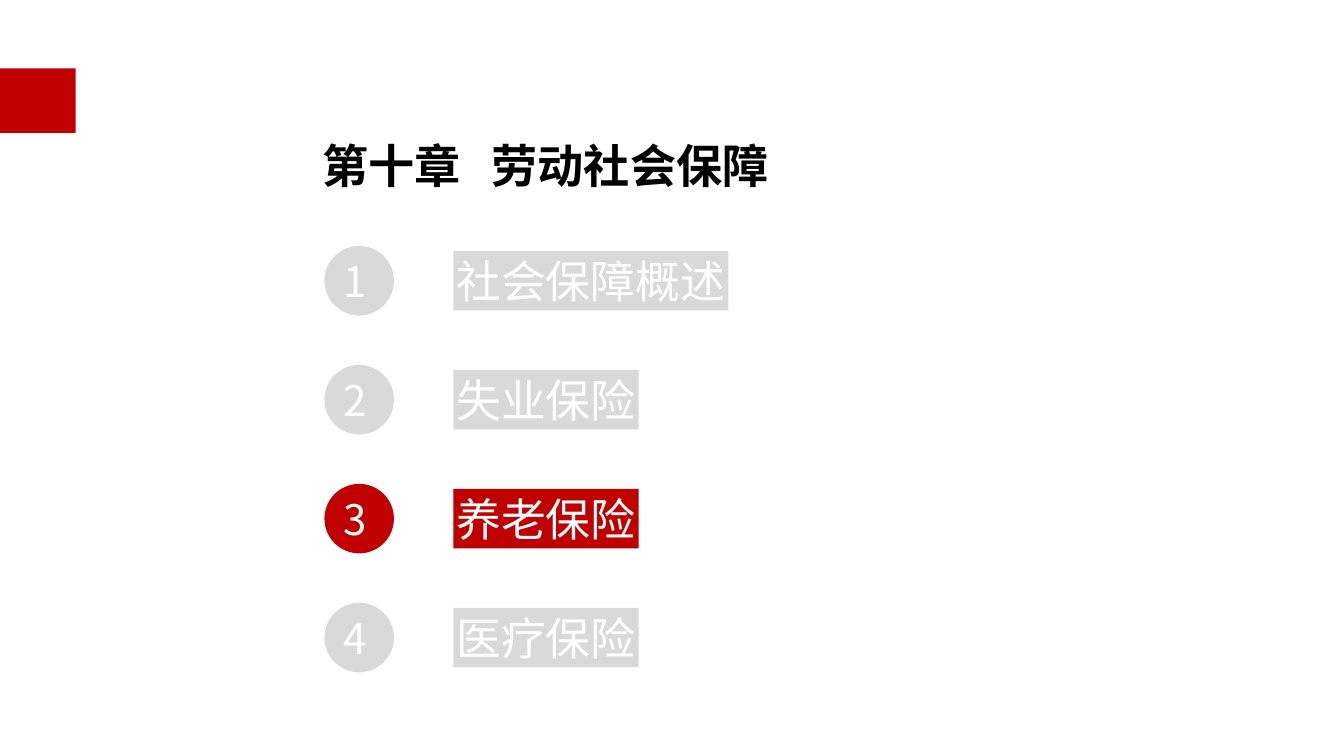
from lxml import etree
from pptx import Presentation
from pptx import util as u
from pptx.dml.color import RGBColor
from pptx.enum import shapes, text
from pptx.oxml import ns

PX = 9144  # EMU per px, 100 px to the inch
RED = RGBColor(0xC0, 0x00, 0x00)
GREY = RGBColor(0xD9, 0xD9, 0xD9)
WHITE = RGBColor(0xFF, 0xFF, 0xFF)
BLACK = RGBColor(0x00, 0x00, 0x00)
HEADING_FONT = "Noto Sans CJK SC"
LABEL_FONT = "Calibri"

CHAPTER, CHAPTER_NAME = "第十章", "劳动社会保障"
TOPICS = ["社会保障概述", "失业保险", "养老保险", "医疗保险"]
CURRENT_TOPIC = 3
TOPIC_PITCH = 118
CIRCLE_SIZE = 69
LABEL_HEIGHT = 59
CHARACTER_WIDTH = 44.5


def px(length):
    return u.Emu(round(length * PX))


def add_block(slide, kind, left, top, width, height, color):
    shape = slide.shapes.add_shape(kind, px(left), px(top), px(width), px(height))
    shape.shadow.inherit = False
    shape.fill.solid()
    shape.fill.fore_color.rgb = color
    shape.line.fill.background()
    return shape


def write(shape, words, size, color, font_name, insets, bold=False, tab=None):
    """Put one left-aligned line in the shape; insets are (left, others)."""
    frame = shape.text_frame
    frame.word_wrap = True
    frame.vertical_anchor = text.MSO_ANCHOR.MIDDLE
    frame.margin_left = px(insets[0])
    frame.margin_top = frame.margin_right = frame.margin_bottom = px(insets[1])
    paragraph = frame.paragraphs[0]
    paragraph.text = words
    paragraph.alignment = text.PP_ALIGN.LEFT
    properties = paragraph._p.get_or_add_pPr()
    if tab:
        tabs = etree.SubElement(properties, ns.qn("a:tabLst"))
        etree.SubElement(tabs, ns.qn("a:tab"), pos=str(px(tab)), algn="l")
    font = paragraph.font
    font.size = u.Pt(size)
    font.bold = bold
    font.color.rgb = color
    font.name = font_name
    defaults = properties.find(ns.qn("a:defRPr"))
    etree.SubElement(defaults, ns.qn("a:ea"), typeface=font_name)
    return paragraph


def add_title(slide, left, top, width, height):
    box = slide.shapes.add_textbox(px(left), px(top), px(width), px(height))
    paragraph = write(box, f"{CHAPTER}\t{CHAPTER_NAME}", 33, BLACK, HEADING_FONT,
                      (13, 3), bold=True, tab=168)
    paragraph.line_spacing = 1.5


def add_topic(slide, left, top, number, topic):
    color = RED if number == CURRENT_TOPIC else GREY
    circle = add_block(slide, shapes.MSO_SHAPE.OVAL, left, top,
                       CIRCLE_SIZE, CIRCLE_SIZE, color)
    write(circle, str(number), 30, WHITE, HEADING_FONT, (9, 0))
    label = add_block(slide, shapes.MSO_SHAPE.RECTANGLE, left + 128,
                      top + (CIRCLE_SIZE - LABEL_HEIGHT) / 2,
                      len(topic) * CHARACTER_WIDTH + 6, LABEL_HEIGHT, color)
    paragraph = write(label, topic, 32, WHITE, LABEL_FONT, (3, 3))
    label.text_frame.word_wrap = False


def add_agenda(slide, left, top):
    for index, topic in enumerate(TOPICS):
        add_topic(slide, left, top + index * TOPIC_PITCH, index + 1, topic)


def main():
    presentation = Presentation()
    presentation.slide_width = px(1334)
    presentation.slide_height = px(750)
    slide = presentation.slides.add_slide(presentation.slide_layouts[6])
    add_block(slide, shapes.MSO_SHAPE.RECTANGLE, 0, 68, 75, 64, RED)
    add_title(slide, 307, 106, 480, 88)
    add_agenda(slide, 322, 244)
    presentation.save("out.pptx")


if __name__ == "__main__":
    main()
